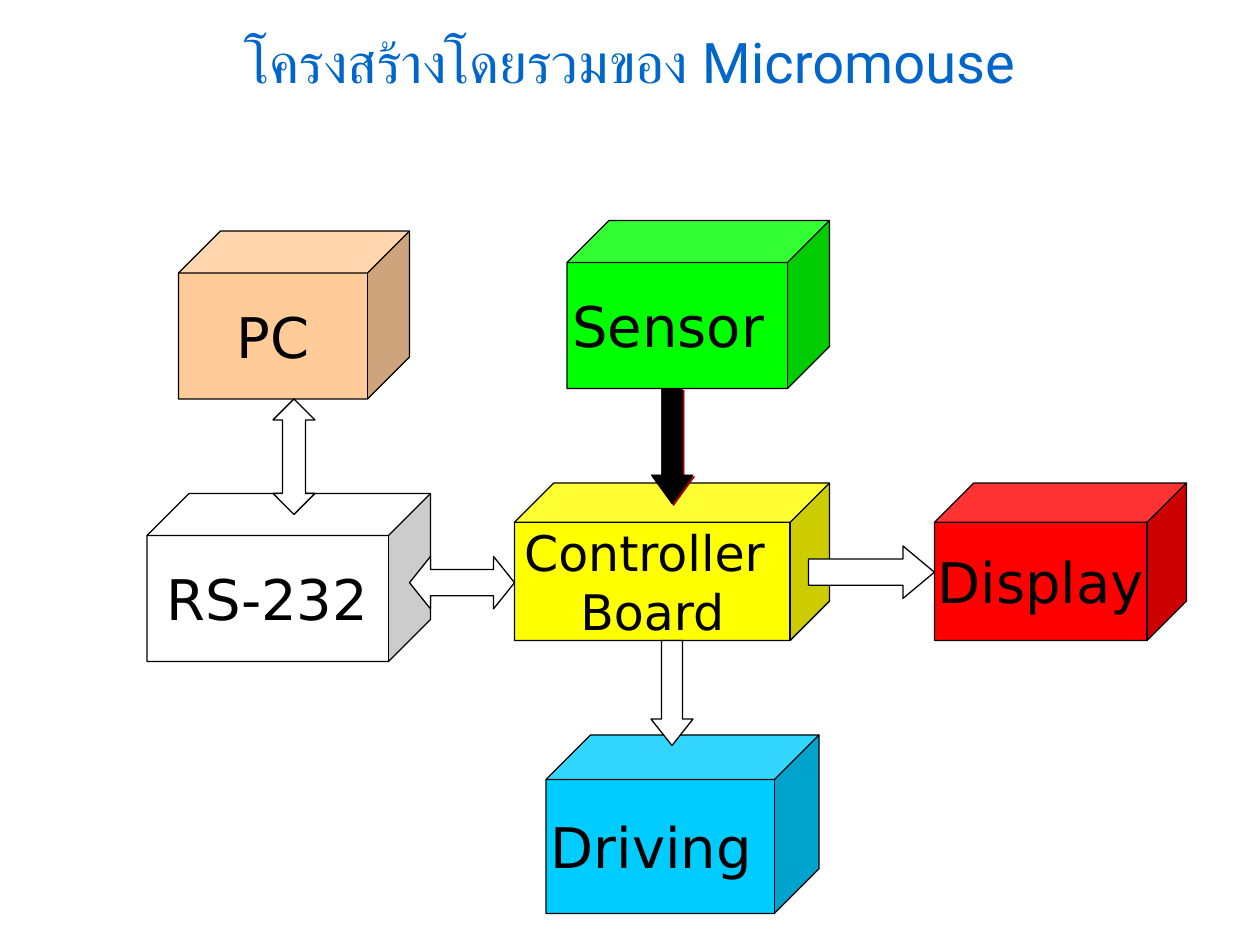
from dataclasses import dataclass

from lxml import etree
from pptx import Presentation
from pptx.dml.color import RGBColor
from pptx.enum.shapes import MSO_SHAPE
from pptx.enum.text import MSO_ANCHOR, MSO_AUTO_SIZE, PP_ALIGN
from pptx.oxml import parse_xml
from pptx.oxml.ns import nsdecls, qn
from pptx.util import Emu, Inches, Pt

CUBE = MSO_SHAPE.CUBE
RIGHT_ARROW = MSO_SHAPE.RIGHT_ARROW
DOWN_ARROW = MSO_SHAPE.DOWN_ARROW
LEFT_RIGHT_ARROW = MSO_SHAPE.LEFT_RIGHT_ARROW
UP_DOWN_ARROW = MSO_SHAPE.UP_DOWN_ARROW
CENTER = PP_ALIGN.CENTER
MIDDLE = MSO_ANCHOR.MIDDLE
TOP = MSO_ANCHOR.TOP
NO_AUTOFIT = MSO_AUTO_SIZE.NONE

BLACK = RGBColor(0x00, 0x00, 0x00)
WHITE = RGBColor(0xFF, 0xFF, 0xFF)
YELLOW = RGBColor(0xFF, 0xFF, 0x00)
GREEN = RGBColor(0x00, 0xFF, 0x00)
SKY = RGBColor(0x00, 0xCC, 0xFF)
RED = RGBColor(0xFF, 0x00, 0x00)
PEACH = RGBColor(0xFF, 0xCC, 0x99)
TITLE_BLUE = RGBColor(0x00, 0x66, 0xCC)
OUTLINE_BLUE = RGBColor(0x99, 0xCC, 0xFF)
SHADOW_RED = RGBColor(0x99, 0x00, 0x00)

BLOCK_FONT = "DejaVu Sans"
TITLE_FONT = "Roboto"
CELL = Inches(1) // 12  # the slide is a grid of 120 columns by 90 rows


@dataclass(frozen=True)
class Area:
    column: int
    row: int
    columns: int
    rows: int

    def lengths(self) -> list[Emu]:
        return [Emu(cells * CELL) for cells in
                (self.column, self.row, self.columns, self.rows)]


@dataclass(frozen=True)
class Block:
    lines: tuple[str, ...]
    area: Area
    color: RGBColor
    size: int = 32


@dataclass(frozen=True)
class Arrow:
    kind: MSO_SHAPE
    area: Area
    head: float
    color: RGBColor = WHITE
    line_width: float = 0.75


TITLE_AREA = Area(11, 2, 98, 14)

BLOCKS = (
    Block(("Controller ", "Board"), Area(49, 46, 30, 15), YELLOW, 28),
    Block(("Sensor ",), Area(54, 21, 25, 16), GREEN),
    Block(("Driving ",), Area(52, 70, 26, 17), SKY),
    Block(("Display",), Area(89, 46, 24, 15), RED),
    Block(("RS-232",), Area(14, 47, 27, 16), WHITE),
    Block(("PC",), Area(17, 22, 22, 16), PEACH),
)

ARROWS = (
    Arrow(LEFT_RIGHT_ARROW, Area(39, 53, 10, 5), 0.4),
    Arrow(RIGHT_ARROW, Area(77, 52, 12, 5), 0.6),
    Arrow(DOWN_ARROW, Area(62, 61, 4, 10), 0.63),
    Arrow(UP_DOWN_ARROW, Area(26, 38, 4, 11), 0.55),
)
SENSOR_ARROW = Arrow(DOWN_ARROW, Area(62, 37, 4, 11), 0.69, BLACK, 0.25)


def add_run(paragraph, text: str, font_name: str, size: int, color: RGBColor):
    run = paragraph.add_run()
    run.text = text
    run.font.name = font_name
    run.font.size = Pt(size)
    run.font.color.rgb = color
    return run


def add_preset(slide, kind: MSO_SHAPE, area: Area, color: RGBColor, line_width: float):
    shape = slide.shapes.add_shape(kind, *area.lengths())
    shape.shadow.inherit = False
    shape.fill.solid()
    shape.fill.fore_color.rgb = color
    shape.line.color.rgb = BLACK
    shape.line.width = Pt(line_width)
    return shape


def add_block(slide, block: Block) -> None:
    shape = add_preset(slide, CUBE, block.area, block.color, 0.75)
    shape.adjustments[0] = 0.25
    frame = shape.text_frame
    frame.word_wrap = False
    frame.vertical_anchor = MIDDLE
    for index, line in enumerate(block.lines):
        paragraph = frame.add_paragraph() if index else frame.paragraphs[0]
        paragraph.alignment = CENTER
        add_run(paragraph, line, BLOCK_FONT, block.size, BLACK)


def add_arrow(slide, arrow: Arrow):
    shape = add_preset(slide, arrow.kind, arrow.area, arrow.color, arrow.line_width)
    shape.adjustments[0] = 0.5
    shape.adjustments[1] = arrow.head
    return shape


def add_offset_shadow(shape, color: RGBColor) -> None:
    effects = shape._element.spPr.find(qn("a:effectLst"))
    shadow = etree.SubElement(effects, qn("a:outerShdw"), dist=str(Pt(1.4)),
                              dir=str(45 * 60000), algn="ctr", rotWithShape="0")
    etree.SubElement(shadow, qn("a:srgbClr"), val=str(color))


def set_title(slide, text: str) -> None:
    title = slide.shapes.title
    title.left, title.top, title.width, title.height = TITLE_AREA.lengths()
    frame = title.text_frame
    frame.auto_size = NO_AUTOFIT
    frame.word_wrap = False
    frame.vertical_anchor = TOP
    paragraph = frame.paragraphs[0]
    paragraph.alignment = CENTER
    run = add_run(paragraph, text, TITLE_FONT, 32, TITLE_BLUE)
    # Text outline
    run.font._element.insert(0, parse_xml(
        f'<a:ln {nsdecls("a")} w="{Pt(1.5)}"><a:solidFill>'
        f'<a:srgbClr val="{OUTLINE_BLUE}"/></a:solidFill></a:ln>'))


def main() -> None:
    presentation = Presentation()
    presentation.slide_width = Inches(10)
    presentation.slide_height = Inches(7.5)
    slide = presentation.slides.add_slide(presentation.slide_layouts[5])

    set_title(slide, "โครงสร้างโดยรวมของ Micromouse")

    # Hardware blocks
    for block in BLOCKS:
        add_block(slide, block)

    # Signal flow
    for arrow in ARROWS:
        add_arrow(slide, arrow)
    add_offset_shadow(add_arrow(slide, SENSOR_ARROW), SHADOW_RED)

    presentation.save("out.pptx")


if __name__ == "__main__":
    main()
